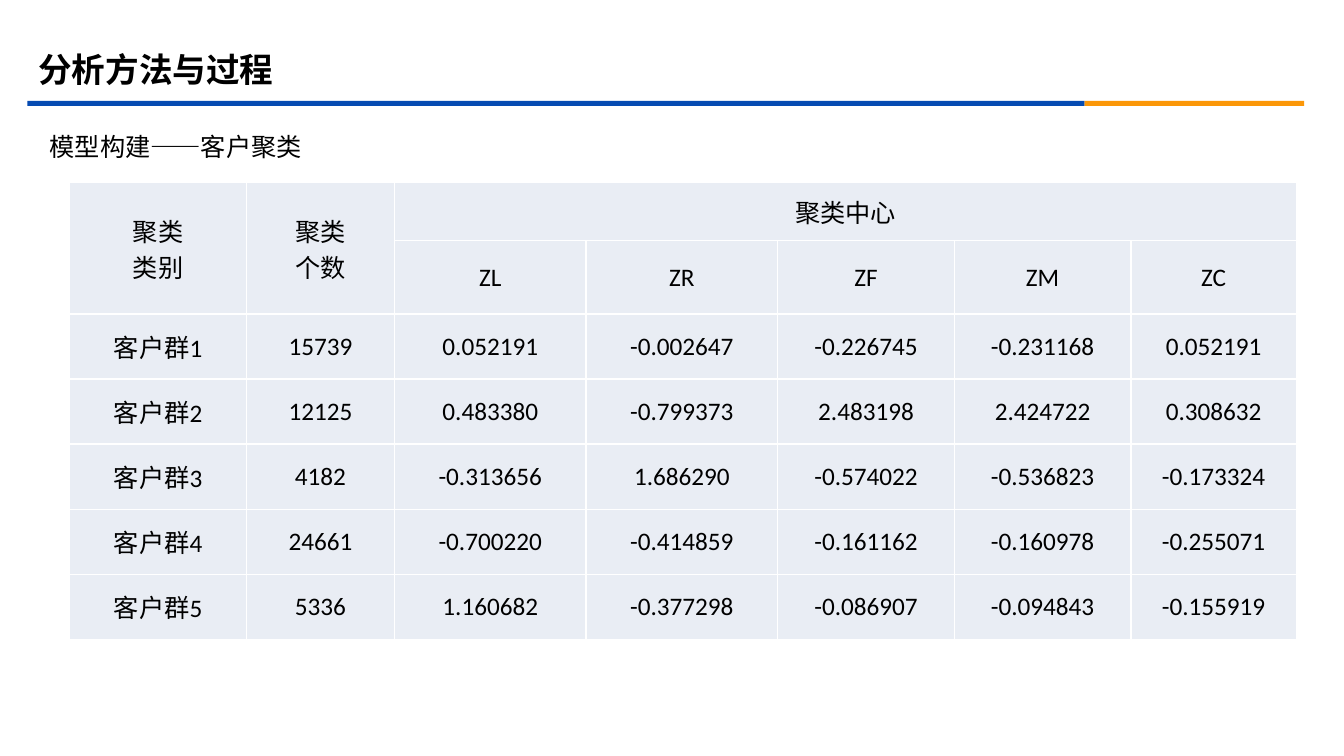
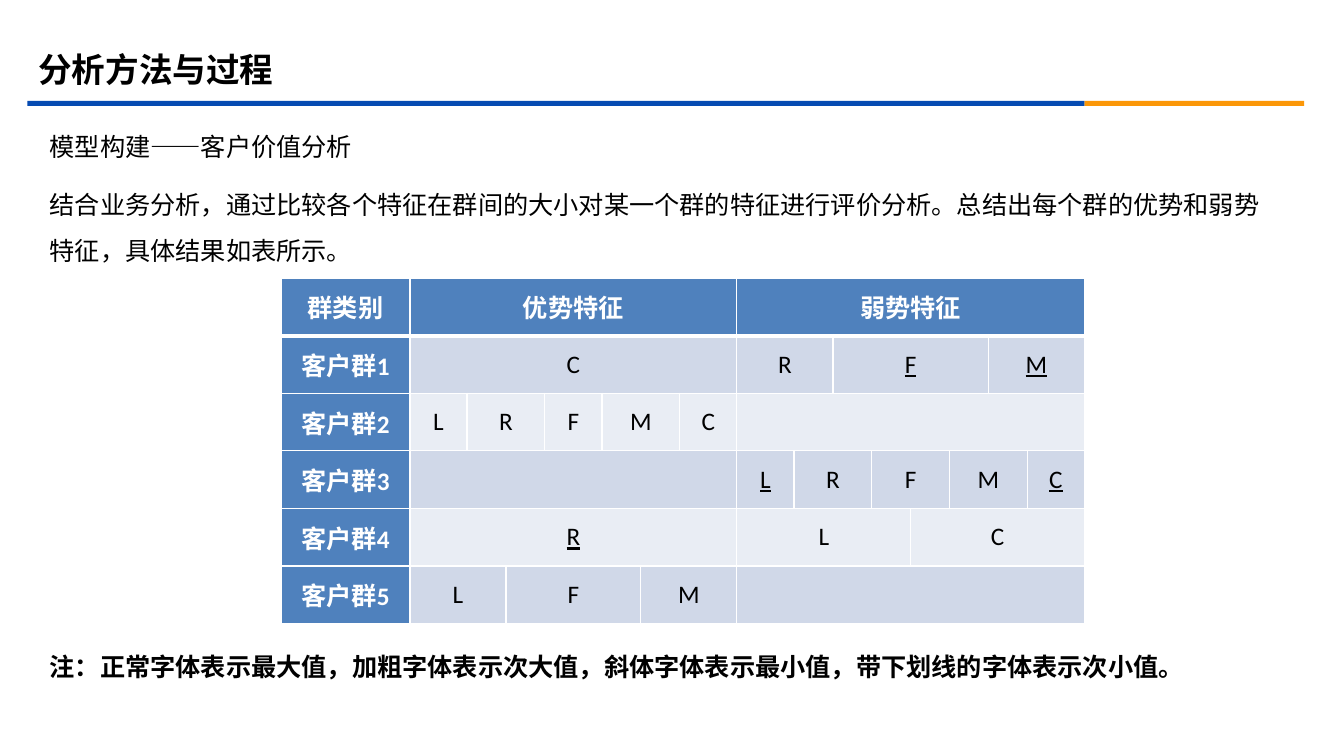
"""Builds two slides on customer clustering and customer value analysis."""
import pptx
import pptx.dml.color
import pptx.enum.shapes
import pptx.enum.text
import pptx.oxml.ns
import pptx.util
from lxml import etree
from pptx.util import Cm, Pt

COLOURS = {
    "band": "064BB2", "accent": "FB9708", "text": "000000", "white": "FFFFFF",
    "header": "4F81BD", "dark row": "D0D8E8", "light row": "E9EDF4",
}
HEADING_FONT = "Noto Sans CJK SC"
TABLE_FONT = "Calibri"
TITLE = "分析方法与过程"
TITLE_BOX = (Cm(0.71), Cm(1), Cm(30.48), Cm(1.47))
BODY_BOX = (Cm(1), Cm(2.77), Cm(31.37), Cm(14.63))

CENTRES = [
    ("客户群1", "15739", "0.052191", "-0.002647", "-0.226745", "-0.231168", "0.052191"),
    ("客户群2", "12125", "0.483380", "-0.799373", "2.483198", "2.424722", "0.308632"),
    ("客户群3", "4182", "-0.313656", "1.686290", "-0.574022", "-0.536823", "-0.173324"),
    ("客户群4", "24661", "-0.700220", "-0.414859", "-0.161162", "-0.160978", "-0.255071"),
    ("客户群5", "5336", "1.160682", "-0.377298", "-0.086907", "-0.094843", "-0.155919"),
]
FEATURES = [
    ("客户群1", [("C", 7), ("R", 2), ("F", 4), ("M", 2)], {2, 3}),
    ("客户群2", [("L", 1), ("R", 2), ("F", 1), ("M", 2), ("C", 1), ("", 8)], set()),
    ("客户群3", [("", 7), ("L", 1), ("R", 2), ("F", 2), ("M", 2), ("C", 1)], {1, 5}),
    ("客户群4", [("R", 7), ("L", 4), ("C", 4)], {0}),
    ("客户群5", [("L", 2), ("F", 3), ("M", 2), ("", 8)], set()),
]


def rgb(name):
    """Return the named colour."""
    return pptx.dml.color.RGBColor.from_string(COLOURS[name])


def add_run(paragraph, text, size, font, colour="text", bold=False, underline=False):
    """Add one formatted run to a paragraph."""
    run = paragraph.add_run()
    run.text = text
    run.font.size = Pt(size)
    run.font.name = font
    run.font.bold = bold
    run.font.underline = underline
    run.font.color.rgb = rgb(colour)
    east_asian = etree.Element(pptx.oxml.ns.qn("a:ea"), typeface=HEADING_FONT)
    run.font.element.find(pptx.oxml.ns.qn("a:latin")).addnext(east_asian) \
        if hasattr(run.font, "element") else \
        run._r.rPr.find(pptx.oxml.ns.qn("a:latin")).addnext(east_asian)


def place(shape, box):
    """Move and size a shape."""
    shape.left, shape.top, shape.width, shape.height = box


def set_up_layout(layout, slide):
    """Give the layout its placeholder places and the two-colour band."""
    place(layout.placeholders[0], TITLE_BOX)
    place(layout.placeholders[1], BODY_BOX)
    for left, width, colour in ((0.69, 26.64, "band"), (27.33, 5.54, "accent")):
        band = slide.shapes.add_shape(
            pptx.enum.shapes.MSO_SHAPE.RECTANGLE, Cm(left), Cm(2.54), Cm(width), Cm(0.13))
        band.shadow.inherit = False
        band.fill.solid()
        band.fill.fore_color.rgb = rgb(colour)
        band.line.fill.background()
        layout.element.cSld.spTree.insert(2, band.element)


def fill_title(slide):
    """Write the shared title."""
    frame = slide.shapes.title.text_frame
    frame.vertical_anchor = pptx.enum.text.MSO_ANCHOR.MIDDLE
    frame.auto_size = pptx.enum.text.MSO_AUTO_SIZE.NONE
    frame.paragraphs[0].alignment = pptx.enum.text.PP_ALIGN.LEFT
    add_run(frame.paragraphs[0], TITLE, 24, HEADING_FONT, bold=True)


def fill_body(slide, passages):
    """Write body paragraphs given as text, space before and boldness."""
    frame = slide.placeholders[1].text_frame
    frame.auto_size = pptx.enum.text.MSO_AUTO_SIZE.NONE
    for index, (text, space_before, bold) in enumerate(passages):
        paragraph = frame.add_paragraph() if index else frame.paragraphs[0]
        paragraph.line_spacing = Pt(33)
        paragraph.space_before = Pt(space_before)
        properties = paragraph._p.get_or_add_pPr()
        properties.set("marL", "0")
        properties.set("indent", "0")
        etree.SubElement(properties, pptx.oxml.ns.qn("a:buNone"))
        add_run(paragraph, text, 18, HEADING_FONT, bold=bold)


def set_borders(cell, top=1, bottom=1):
    """Draw white borders round a cell, with widths in points."""
    properties = cell._tc.get_or_add_tcPr()
    for side, width in (("L", 1), ("R", 1), ("T", top), ("B", bottom)):
        line = etree.SubElement(
            properties, pptx.oxml.ns.qn("a:ln" + side), w=str(Pt(width)))
        solid = etree.SubElement(line, pptx.oxml.ns.qn("a:solidFill"))
        etree.SubElement(solid, pptx.oxml.ns.qn("a:srgbClr"), val=COLOURS["white"])


def add_grid(slide, left, top, columns, rows, fill_of, header_line=1):
    """Add a table whose cell fills come from fill_of(row, column)."""
    table = slide.shapes.add_table(
        len(rows), len(columns), Cm(left), Cm(top), Cm(sum(columns)), Cm(sum(rows))).table
    table.first_row = table.horz_banding = False
    for column, width in zip(table.columns, columns):
        column.width = Cm(width)
    for row_index, (row, height) in enumerate(zip(table.rows, rows)):
        row.height = Cm(height)
        for column_index, cell in enumerate(row.cells):
            set_borders(cell, top=header_line if row_index == 1 else 1,
                        bottom=header_line if row_index == 0 else 1)
            cell.fill.solid()
            cell.fill.fore_color.rgb = rgb(fill_of(row_index, column_index))
            cell.margin_left = cell.margin_right = Cm(0.14)
            cell.margin_top = cell.margin_bottom = 0
            cell.vertical_anchor = pptx.enum.text.MSO_ANCHOR.MIDDLE
    return table


def write_cell(table, row, column, text, height=1, width=1, **style):
    """Write centred lines into a cell, merged over height and width."""
    cell = table.cell(row, column)
    if height > 1 or width > 1:
        cell.merge(table.cell(row + height - 1, column + width - 1))
    for index, line in enumerate(text.splitlines()):
        frame = cell.text_frame
        paragraph = frame.add_paragraph() if index else frame.paragraphs[0]
        paragraph.alignment = pptx.enum.text.PP_ALIGN.CENTER
        add_run(paragraph, line, 18, TABLE_FONT, **style)


def add_centre_table(slide):
    """Add the table of cluster sizes and centres."""
    table = add_grid(
        slide, 1.76, 4.6, [4.45, 3.73, 4.83, 4.83, 4.45, 4.45, 4.17],
        [1.47, 1.84] + [1.64] * len(CENTRES), lambda row, column: "light row")
    write_cell(table, 0, 0, "聚类\n类别", height=2)
    write_cell(table, 0, 1, "聚类\n个数", height=2)
    write_cell(table, 0, 2, "聚类中心", width=5)
    for column, feature in enumerate("LRFMC", start=2):
        write_cell(table, 1, column, "Z" + feature)
    for row, values in enumerate(CENTRES, start=2):
        for column, value in enumerate(values):
            write_cell(table, row, column, value)


def feature_fill(row, column):
    """Return the fill name of a cell in the feature table."""
    if row == 0 or column == 0:
        return "header"
    return "dark row" if row % 2 else "light row"


def add_feature_table(slide):
    """Add the table of strong and weak features of each group."""
    wide, narrow = 1.44, 0.98
    strong = [wide, narrow, narrow, wide, narrow, narrow, wide]
    weak = [wide] + [narrow] * 6 + [wide]
    table = add_grid(slide, 7.08, 7.01, [3.25] + strong + weak,
                     [1.45] * (len(FEATURES) + 1), feature_fill, header_line=3)
    heading = {"colour": "white", "bold": True}
    write_cell(table, 0, 0, "群类别", **heading)
    write_cell(table, 0, 1, "优势特征", width=len(strong), **heading)
    write_cell(table, 0, 1 + len(strong), "弱势特征", width=len(weak), **heading)
    for row, (group, features, underlined) in enumerate(FEATURES, start=1):
        write_cell(table, row, 0, group, **heading)
        column = 1
        for index, (feature, width) in enumerate(features):
            write_cell(table, row, column, feature, width=width,
                       underline=index in underlined)
            column += width


def main():
    """Build and save the presentation."""
    deck = pptx.Presentation()
    deck.slide_width, deck.slide_height = Cm(33.87), Cm(19.05)
    layout = deck.slide_layouts[1]
    clustering, value = (deck.slides.add_slide(layout) for _ in range(2))
    set_up_layout(layout, clustering)
    for slide in (clustering, value):
        fill_title(slide)
    fill_body(clustering, [("模型构建——客户聚类", 0, False)])
    add_centre_table(clustering)
    fill_body(value, [
        ("模型构建——客户价值分析", 0, False),
        ("结合业务分析，通过比较各个特征在群间的大小对某一个群的特征进行评价分析。"
         "总结出每个群的优势和弱势特征，具体结果如表所示。", 8.5, False),
        ("注：正常字体表示最大值，加粗字体表示次大值，斜体字体表示最小值，"
         "带下划线的字体表示次小值。", 264, True),
    ])
    add_feature_table(value)
    deck.save("out.pptx")


if __name__ == "__main__":
    main()
